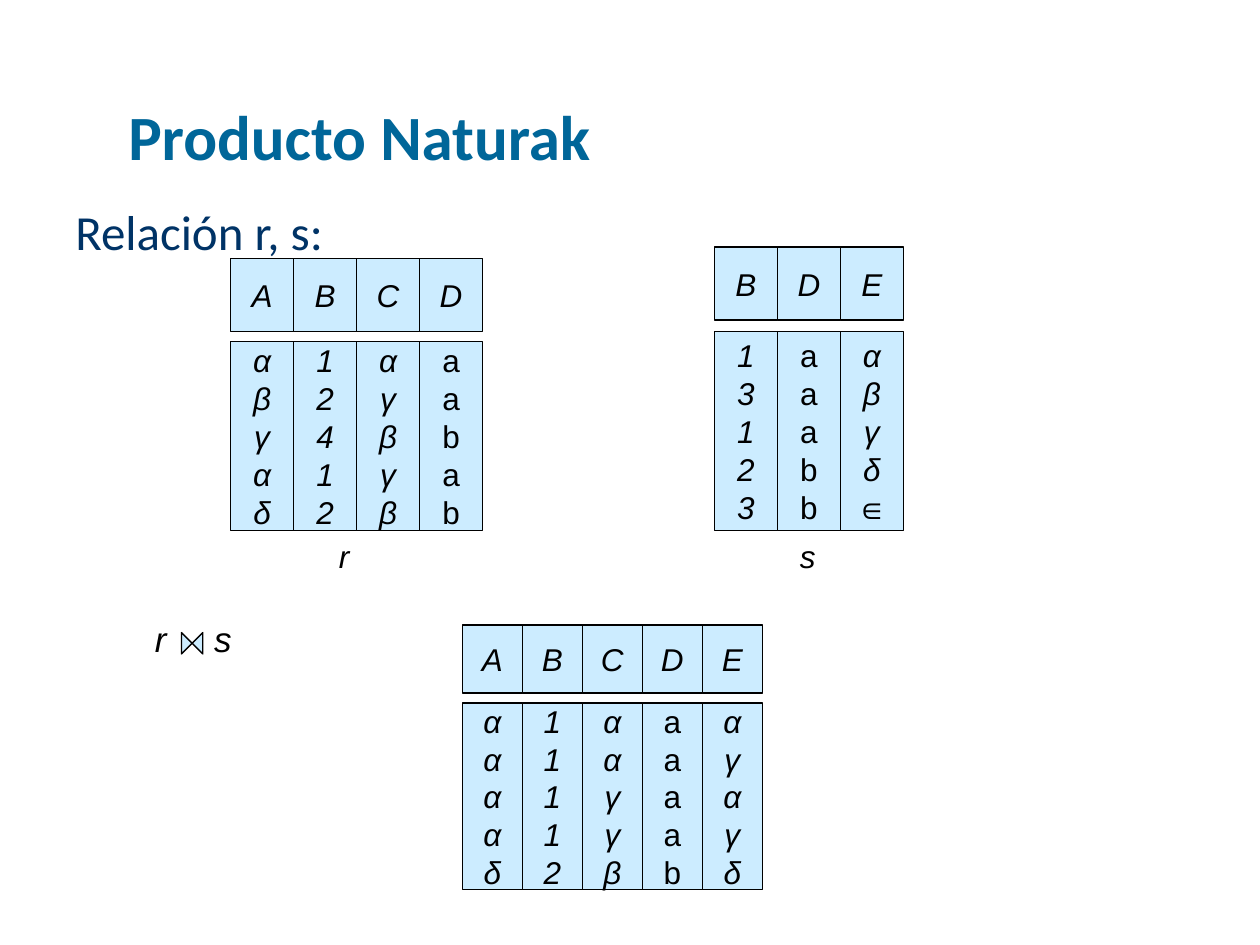
from lxml import etree
from pptx import Presentation
from pptx.dml.color import RGBColor
from pptx.enum.shapes import MSO_SHAPE
from pptx.enum.text import MSO_ANCHOR, PP_ALIGN
from pptx.oxml.ns import qn
from pptx.util import Inches, Pt

TITLE_BLUE = RGBColor(0x00, 0x66, 0x99)
BODY_BLUE = RGBColor(0x00, 0x33, 0x66)
CELL_BLUE = RGBColor(0xCC, 0xEC, 0xFF)
BLACK = RGBColor(0, 0, 0)

# Each relation: column name -> values from top to bottom
R_COLUMNS = {"A": "αβγαδ", "B": "12412", "C": "αγβγβ", "D": "aabab"}
S_COLUMNS = {"B": "13123", "D": "aaabb", "E": "αβγδ∈"}
JOIN_COLUMNS = {"A": "ααααδ", "B": "11112", "C": "ααγγβ", "D": "aaaab", "E": "αγαγδ"}


def add_run(p, text, size, font="Arial", color=BLACK, bold=False, italic=False):
    r = p.add_run()
    r.text = text
    r.font.size = Pt(size)
    r.font.name = font
    r.font.color.rgb = color
    r.font.bold = bold
    r.font.italic = italic


def add_text(s, box, text, size, before=0, anchor=MSO_ANCHOR.TOP,
             align=PP_ALIGN.LEFT, wrap=True, **style):
    tf = s.shapes.add_textbox(*map(Inches, box)).text_frame
    tf.word_wrap = wrap
    tf.vertical_anchor = anchor
    p = tf.paragraphs[0]
    p.alignment = align
    p.space_before = Pt(before)
    add_run(p, text, size, **style)
    return p


def add_filled(s, shape_type, box):
    sp = s.shapes.add_shape(shape_type, *map(Inches, box))
    sp.shadow.inherit = False
    sp.fill.solid()
    sp.fill.fore_color.rgb = CELL_BLUE
    sp.line.color.rgb = BLACK
    sp.line.width = Pt(0.75)
    return sp


def add_cell(s, box, lines):
    tf = add_filled(s, MSO_SHAPE.RECTANGLE, box).text_frame
    tf.word_wrap = False
    tf.vertical_anchor = MSO_ANCHOR.MIDDLE
    for i, text in enumerate(lines):
        p = tf.paragraphs[0] if i == 0 else tf.add_paragraph()
        p.alignment = PP_ALIGN.CENTER
        add_run(p, text, 18, italic=text not in "ab")


def add_relation(s, box, columns, header_h, body_h):
    """Header cells at the top of the box, value cells at its bottom."""
    left, top, width, height = box
    col_w = width / len(columns)
    for i, (name, values) in enumerate(columns.items()):
        x = left + i * col_w
        add_cell(s, (x, top, col_w, header_h), name)
        add_cell(s, (x, top + height - body_h, col_w, body_h), values)


def add_caption(s, box, text):
    add_text(s, box, text, 18, before=11.2, anchor=MSO_ANCHOR.MIDDLE,
             align=PP_ALIGN.CENTER, wrap=False, italic=True)


def add_join_label(s, box):
    """The expression r ⋈ s, with the join sign drawn between the letters."""
    left, top = box[:2]
    p = add_text(s, box, "r\ts", 20, before=8.8, italic=True)
    tabs = etree.SubElement(p._p.get_or_add_pPr(), qn("a:tabLst"))
    etree.SubElement(tabs, qn("a:tab"), pos=str(Inches(0.47)), algn="l")
    sign = add_filled(s, MSO_SHAPE.FLOWCHART_COLLATE,
                      (left + 0.31, top + 0.17, 0.17, 0.17))
    sign.rotation = 270


def main():
    prs = Presentation()
    prs.slide_width, prs.slide_height = Inches(10), Inches(7.5)
    s = prs.slides.add_slide(prs.slide_layouts[6])

    # Headings
    add_text(s, (0.92, 0.21, 8.5, 1.21), "Producto Naturak", 36,
             anchor=MSO_ANCHOR.BOTTOM, font="Calibri", color=TITLE_BLUE, bold=True)
    add_text(s, (0.5, 1.55, 7.69, 0.57), "Relación r, s:", 28, before=7,
             font="Calibri", color=BODY_BLUE)

    # Source relations
    add_relation(s, (1.83, 2.05, 2, 2.16), R_COLUMNS, 0.58, 1.5)
    add_caption(s, (2.59, 4.21, 0.28, 0.4), "r")
    add_relation(s, (5.67, 1.96, 1.5, 2.25), S_COLUMNS, 0.58, 1.58)
    add_caption(s, (6.25, 4.21, 0.32, 0.4), "s")

    # Natural join
    add_relation(s, (3.67, 4.96, 2.38, 2.1), JOIN_COLUMNS, 0.54, 1.48)
    add_join_label(s, (1.13, 4.85, 7.69, 0.45))

    prs.save("out.pptx")


if __name__ == "__main__":
    main()
